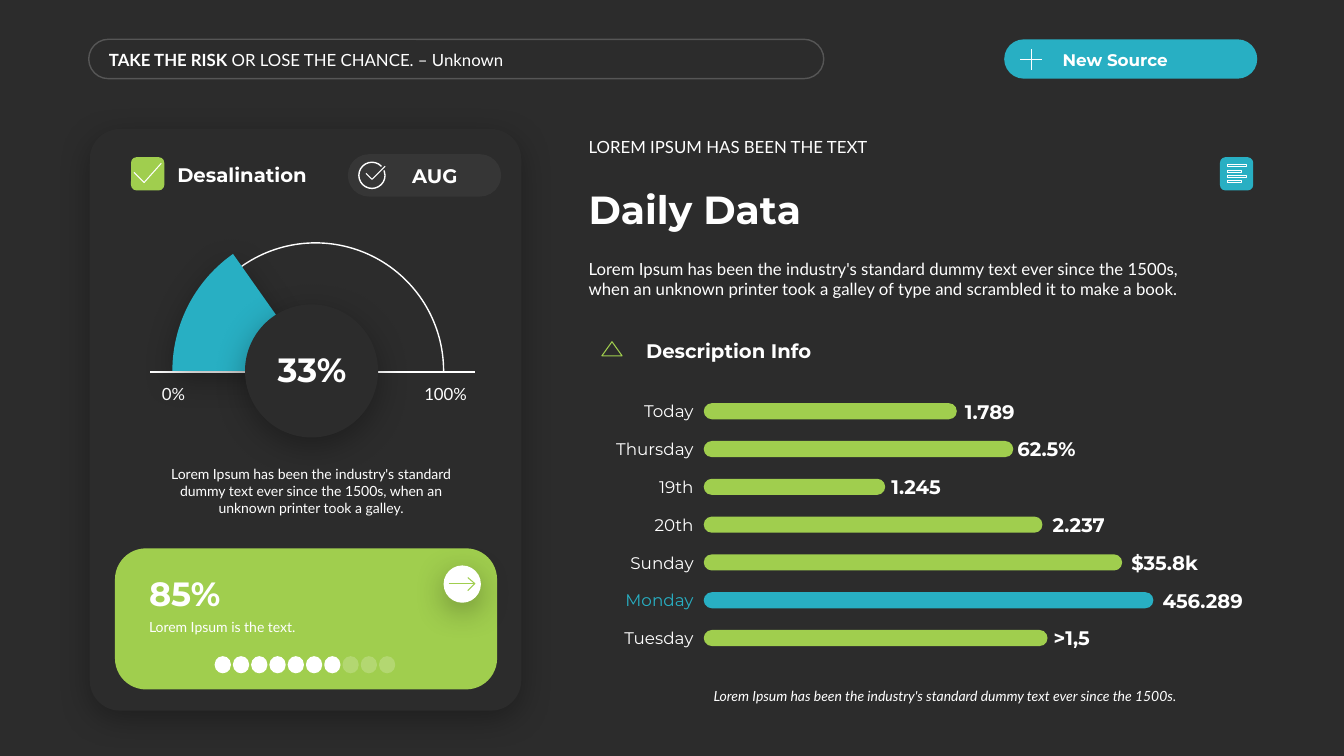
from lxml.etree import SubElement
from pptx import Presentation
from pptx.dml.color import RGBColor
from pptx.enum.shapes import MSO_CONNECTOR, MSO_SHAPE
from pptx.enum.text import MSO_ANCHOR, PP_ALIGN
from pptx.oxml.ns import qn
from pptx.util import Inches, Pt

DARK, WHITE, GREEN, BLUE = "2C2C2C", "FFFFFF", "A0CE4E", "28AFC3"
HEAD, BODY = "Montserrat", "Lato"
ROUND, OVAL, ARC = MSO_SHAPE.ROUNDED_RECTANGLE, MSO_SHAPE.OVAL, MSO_SHAPE.ARC
TOP, MID, LOW = MSO_ANCHOR.TOP, MSO_ANCHOR.MIDDLE, MSO_ANCHOR.BOTTOM
SIDE = (0.1, 0.1)

# day, bar length, value, left of value, colours of bar and day
DAYS = [
    ("Today", 2.51, "1.789", 9.57, GREEN, WHITE),
    ("Thursday", 3.07, "62.5%", 10.09, GREEN, WHITE),
    ("19th", 1.8, "1.245", 8.84, GREEN, WHITE),
    ("20th", 3.36, "2.237", 10.44, GREEN, WHITE),
    ("Sunday", 4.15, "$35.8k", 11.22, GREEN, WHITE),
    ("Monday", 4.46, "456.289", 11.53, BLUE, BLUE),
    ("Tuesday", 3.41, ">1,5", 10.45, GREEN, WHITE),
]


def paint(fmt, color, alpha=100):
    """Give a fill a solid colour, with opacity in percent."""
    fmt.solid()
    fmt.fore_color.rgb = RGBColor.from_string(color)
    if alpha < 100:
        clr = fmt._xPr.find(".//" + qn("a:srgbClr"))
        SubElement(clr, qn("a:alpha"), val=str(alpha * 1000))


def cast(shape):
    """Add a soft shadow that falls straight down."""
    box = shape._element.spPr.find(qn("a:effectLst"))
    shade = SubElement(box, qn("a:outerShdw"), blurRad=str(Pt(23)),
                       dist=str(Pt(6)), dir="5400000", rotWithShape="0")
    clr = SubElement(shade, qn("a:srgbClr"), val="000000")
    SubElement(clr, qn("a:alpha"), val="30000")


def style(shape, fill=None, line=None, alpha=100, width=1):
    if fill:
        paint(shape.fill, fill, alpha)
    else:
        shape.fill.background()
    if line:
        shape.line.width = Pt(width)
        paint(shape.line.fill, line, alpha)
    else:
        shape.line.fill.background()
    shape.shadow.inherit = False


def add_box(slide, kind, at, fill=None, adj=(), shadow=False, **look):
    shape = slide.shapes.add_shape(kind, *map(Inches, at))
    for i, num in enumerate(adj):
        shape.adjustments[i] = num
    style(shape, fill, **look)
    if shadow:
        cast(shape)
    return shape


def add_arc(slide, at, start, end, **look):
    """Draw clockwise from start to end, in degrees."""
    return add_box(slide, ARC, at, adj=(start * 0.6, end * 0.6), **look)


def add_text(slide, at, text, size, font=BODY, bold=False, italic=False,
             color=WHITE, align=PP_ALIGN.LEFT, anchor=MID, side=SIDE, after=0):
    frame = slide.shapes.add_textbox(*map(Inches, at)).text_frame
    frame.word_wrap = True
    frame.vertical_anchor = anchor
    frame.margin_left, frame.margin_right = map(Inches, side)
    frame.text = text
    para = frame.paragraphs[0]
    para.alignment = align
    para.space_after = Pt(after)
    for run in para.runs:
        set_font(run, size, font, bold, italic, color)
    return para


def set_font(run, size, name, bold, italic, color):
    font = run.font
    font.size, font.name, font.bold, font.italic = Pt(size), name, bold, italic
    paint(font.fill, color)


def add_icon(slide, strokes, color=WHITE, close=False):
    """Draw an icon from thin strokes, each a list of points."""
    pen = None
    for first, *rest in strokes:
        x, y = map(Inches, first)
        if pen is None:
            pen = slide.shapes.build_freeform(x, y)
        else:
            pen.move_to(x, y)
        pen.add_line_segments([(Inches(a), Inches(b)) for a, b in rest], close)
    style(pen.convert_to_shape(), line=color, width=0.75)


def add_header(slide):
    add_box(slide, ROUND, (0.88, 0.39, 7.29, 0.39), adj=[0.5],
            line=WHITE, alpha=20)
    quote = add_text(slide, (1.04, 0.44, 6.51, 0.3), "TAKE THE RISK ", 12,
                     bold=True, side=(0.04, 0.04))
    run = quote.add_run()
    run.text = "OR LOSE THE CHANCE. – Unknown"
    set_font(run, 12, BODY, False, False, WHITE)
    add_box(slide, ROUND, (9.96, 0.39, 2.51, 0.39), BLUE, [0.5])
    add_text(slide, (10.44, 0.44, 2.02, 0.3), "New Source", 12, HEAD, True)
    add_icon(slide, [[(10.12, 0.59), (10.33, 0.59)],
                     [(10.23, 0.49), (10.23, 0.69)]])


def add_gauge(slide):
    add_arc(slide, (1.86, 2.41, 2.54, 2.54), 180, 0, line=WHITE)
    base = slide.shapes.add_connector(
        MSO_CONNECTOR.STRAIGHT, *map(Inches, (1.49, 3.69, 4.71, 3.69)))
    base.line.width = Pt(1)
    paint(base.line.fill, WHITE)
    SubElement(base._element.spPr, qn("a:effectLst"))
    for mid, text in ((1.72, "0%"), (4.42, "100%")):
        add_text(slide, (mid - 0.3, 3.76, 0.6, 0.3), text, 12,
                 align=PP_ALIGN.CENTER, side=(0, 0))
    add_arc(slide, (1.71, 2.26, 2.84, 2.84), 180, 234.8, fill=BLUE,
            shadow=True)
    add_box(slide, OVAL, (2.43, 3.02, 1.32, 1.32), DARK, shadow=True)
    add_text(slide, (2.35, 3.41, 1.49, 0.5), "33%", 24, HEAD, True,
             align=PP_ALIGN.CENTER)


def add_panel(slide):
    add_box(slide, ROUND, (0.89, 1.28, 4.28, 5.77), DARK, [0.07], shadow=True)
    add_box(slide, ROUND, (1.3, 1.56, 0.33, 0.33), GREEN)
    add_icon(slide, [[(1.33, 1.71), (1.43, 1.81), (1.6, 1.62)]])
    add_text(slide, (1.66, 1.56, 1.59, 0.34), "Desalination", 14, HEAD, True)
    add_box(slide, ROUND, (3.45, 1.53, 1.52, 0.42), WHITE, [0.5], alpha=5)
    add_arc(slide, (3.56, 1.61, 0.26, 0.26), 338, 317, line=WHITE)
    add_icon(slide, [[(3.63, 1.72), (3.69, 1.78), (3.82, 1.65)]])
    add_text(slide, (3.99, 1.57, 0.87, 0.34), "AUG", 14, HEAD, True)
    add_gauge(slide)
    add_text(slide, (1.42, 4.57, 3.33, 0.61),
             "Lorem Ipsum has been the industry's standard dummy text ever "
             "since the 1500s, when an unknown printer took a galley.",
             10, align=PP_ALIGN.CENTER, anchor=TOP, after=6)


def add_score(slide):
    add_box(slide, ROUND, (1.14, 5.44, 3.79, 1.4), GREEN, [0.22])
    add_text(slide, (1.38, 6.09, 2, 0.27), "Lorem Ipsum is the text.", 10,
             anchor=TOP)
    add_text(slide, (1.38, 5.63, 2, 0.5), "85%", 24, HEAD, True, anchor=LOW)
    for i in range(10):
        add_box(slide, ROUND, (2.13 + i * 1.63 / 9, 6.51, 0.16, 0.17), WHITE,
                [0.5], alpha=100 if i < 7 else 20)
    add_box(slide, OVAL, (4.4, 5.61, 0.37, 0.37), WHITE, shadow=True)
    add_icon(slide, [[(4.45, 5.79), (4.71, 5.79)],
                     [(4.64, 5.73), (4.71, 5.79), (4.64, 5.86)]], GREEN)


def add_intro(slide):
    add_text(slide, (5.74, 1.31, 6.22, 0.3), "LOREM IPSUM HAS BEEN THE TEXT",
             12, anchor=LOW)
    add_text(slide, (5.74, 1.78, 6.22, 0.57), "Daily Data", 28, HEAD, True,
             anchor=LOW)
    add_text(slide, (5.74, 2.52, 6.22, 0.5),
             "Lorem Ipsum has been the industry's standard dummy text ever "
             "since the 1500s, when an unknown printer took a galley of type "
             "and scrambled it to make a book.", 12, anchor=TOP, after=6)
    add_box(slide, ROUND, (12.1, 1.56, 0.33, 0.33), BLUE)
    rows = ((1.63, 12.36), (1.69, 12.31), (1.74, 12.36), (1.79, 12.31))
    add_icon(slide, [[(12.17, y), (x, y), (x, y + 0.02), (12.17, y + 0.02)]
                     for y, x in rows], close=True)
    add_icon(slide, [[(6.07, 3.39), (6.17, 3.53), (5.97, 3.53)]], GREEN, True)
    add_text(slide, (6.31, 3.31, 4.96, 0.34), "Description Info", 14, HEAD,
             True, anchor=LOW)


def add_days(slide):
    for i, (day, size, value, left, fill, color) in enumerate(DAYS):
        mid = 4.08 + i * 0.375
        add_box(slide, ROUND, (6.98, mid - 0.08, size, 0.16), fill, [0.5])
        add_text(slide, (5.85, mid - 0.15, 1.03, 0.3), day, 12, HEAD,
                 color=color, align=PP_ALIGN.RIGHT, side=(0, 0))
        add_text(slide, (left, mid - 0.17, 1.35, 0.34), value, 14, HEAD, True,
                 side=(0, 0))
    add_text(slide, (6.98, 6.77, 5.44, 0.27),
             "Lorem Ipsum has been the industry's standard dummy text ever "
             "since the 1500s.", 10, italic=True, anchor=TOP, after=6)


def main():
    deck = Presentation()
    deck.slide_width, deck.slide_height = Inches(13.33), Inches(7.5)
    slide = deck.slides.add_slide(deck.slide_layouts[6])
    paint(slide.background.fill, DARK)
    for build in (add_panel, add_header, add_score, add_intro, add_days):
        build(slide)
    deck.save("out.pptx")


if __name__ == "__main__":
    main()
